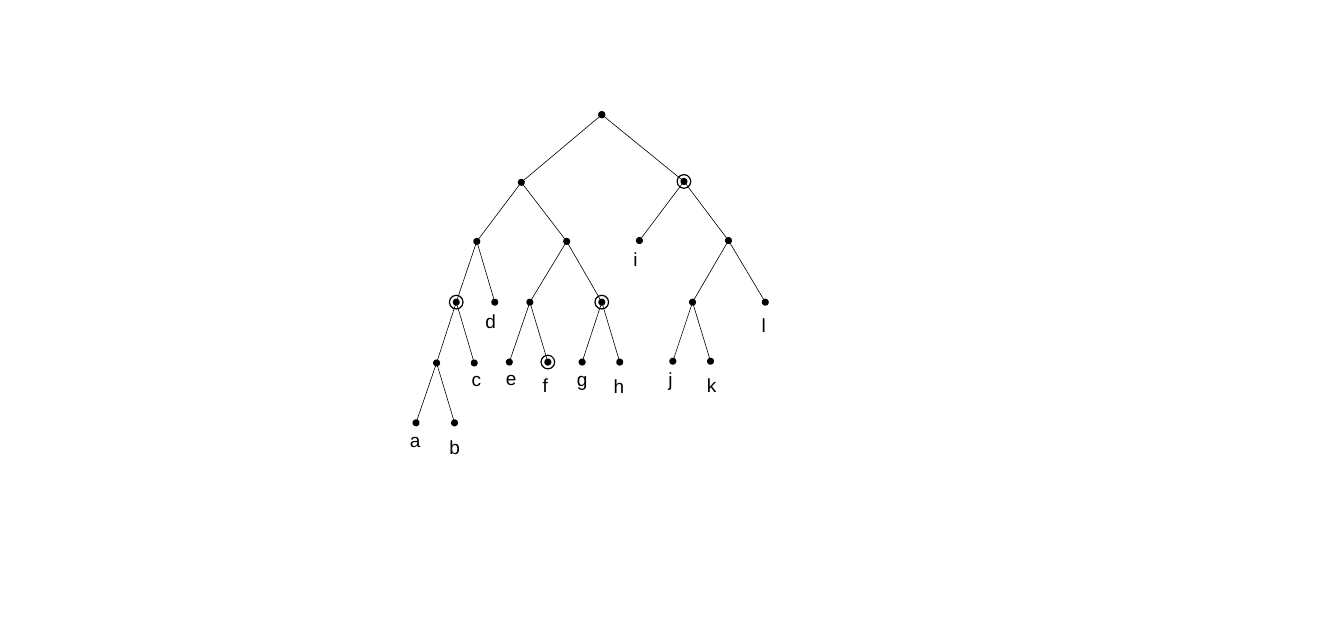
"""Draw a binary tree with lettered leaves and four ringed nodes."""
from lxml.etree import SubElement
from pptx import Presentation
from pptx.dml.color import RGBColor
from pptx.enum.shapes import MSO_CONNECTOR, MSO_SHAPE
from pptx.enum.text import MSO_AUTO_SIZE
from pptx.oxml.ns import qn
from pptx.util import Inches, Pt

SIZE = (15.7, 7.5)
INK = "000000"
RING = 0.16
FONT = {"name": "Arial", "size": Pt(16)}
FRAME = {"word_wrap": False, "auto_size": MSO_AUTO_SIZE.SHAPE_TO_FIT_TEXT}

ROOT = "abcdefghijkl"
NODES = {
    ROOT: (7.03, 1.34),
    "abcdefgh": (6.09, 2.13), "ijkl": (7.99, 2.12),
    "abcd": (5.57, 2.82), "efgh": (6.62, 2.82),
    "i": (7.47, 2.81), "jkl": (8.51, 2.81),
    "abc": (5.33, 3.53), "d": (5.78, 3.53),
    "ef": (6.19, 3.53), "gh": (7.03, 3.53),
    "jk": (8.09, 3.53), "l": (8.94, 3.53),
    "ab": (5.1, 4.24), "c": (5.54, 4.24),
    "e": (5.95, 4.23), "f": (6.4, 4.23),
    "g": (6.8, 4.23), "h": (7.24, 4.23),
    "j": (7.86, 4.22), "k": (8.3, 4.22),
    "a": (4.86, 4.94), "b": (5.31, 4.94),
}
RINGS = ["abc", "f", "gh", "ijkl"]
LABELS = {
    "a": (4.69, 4.96, 0.32), "b": (5.15, 5.04, 0.31),
    "c": (5.41, 4.25, 0.29), "d": (5.57, 3.57, 0.32),
    "e": (5.81, 4.23, 0.29), "f": (6.24, 4.32, 0.27),
    "g": (6.64, 4.25, 0.31), "h": (7.07, 4.33, 0.32),
    "i": (7.3, 2.84, 0.27), "j": (7.71, 4.25, 0.26),
    "k": (8.16, 4.31, 0.31), "l": (8.8, 3.61, 0.26),
}


def style(item, values):
    for key, value in values.items():
        setattr(item, key, value)


def color(part, code):
    part.rgb = RGBColor.from_string(code)


def parent(name):
    return min((n for n in NODES if name in n and n != name), key=len)


def edge(slide, name):
    top = parent(name)
    ends = [Inches(v) for v in NODES[name] + NODES[top]]
    line = slide.shapes.add_connector(MSO_CONNECTOR.STRAIGHT, *ends)
    line.line.width = Pt(0.5)
    color(line.line.color, INK)
    props = line._element.spPr
    for tag in ["headEnd"] + ["tailEnd"] * (top == ROOT):
        SubElement(props.find(qn("a:ln")), qn("a:" + tag), type="oval")
    SubElement(props, qn("a:effectLst"))


def label(slide, text, left, top, width):
    box = slide.shapes.add_textbox(*map(Inches, (left, top, width, 0.37)))
    style(box.text_frame, FRAME)
    run = box.text_frame.paragraphs[0].add_run()
    run.text = text
    style(run.font, FONT)
    color(run.font.color, INK)


def ring(slide, name):
    x, y = NODES[name]
    spot = [Inches(v) for v in (x - RING / 2, y - RING / 2, RING, RING)]
    oval = slide.shapes.add_shape(MSO_SHAPE.OVAL, *spot)
    oval.shadow.inherit = False
    oval.fill.background()
    oval.line.width = Pt(1)
    color(oval.line.color, INK)


def main():
    deck = Presentation()
    deck.slide_width, deck.slide_height = map(Inches, SIZE)
    slide = deck.slides.add_slide(deck.slide_layouts[6])
    for name in NODES:
        if name != ROOT:
            edge(slide, name)
    for text, spot in LABELS.items():
        label(slide, text, *spot)
    for name in RINGS:
        ring(slide, name)
    deck.save("out.pptx")


if __name__ == "__main__":
    main()
